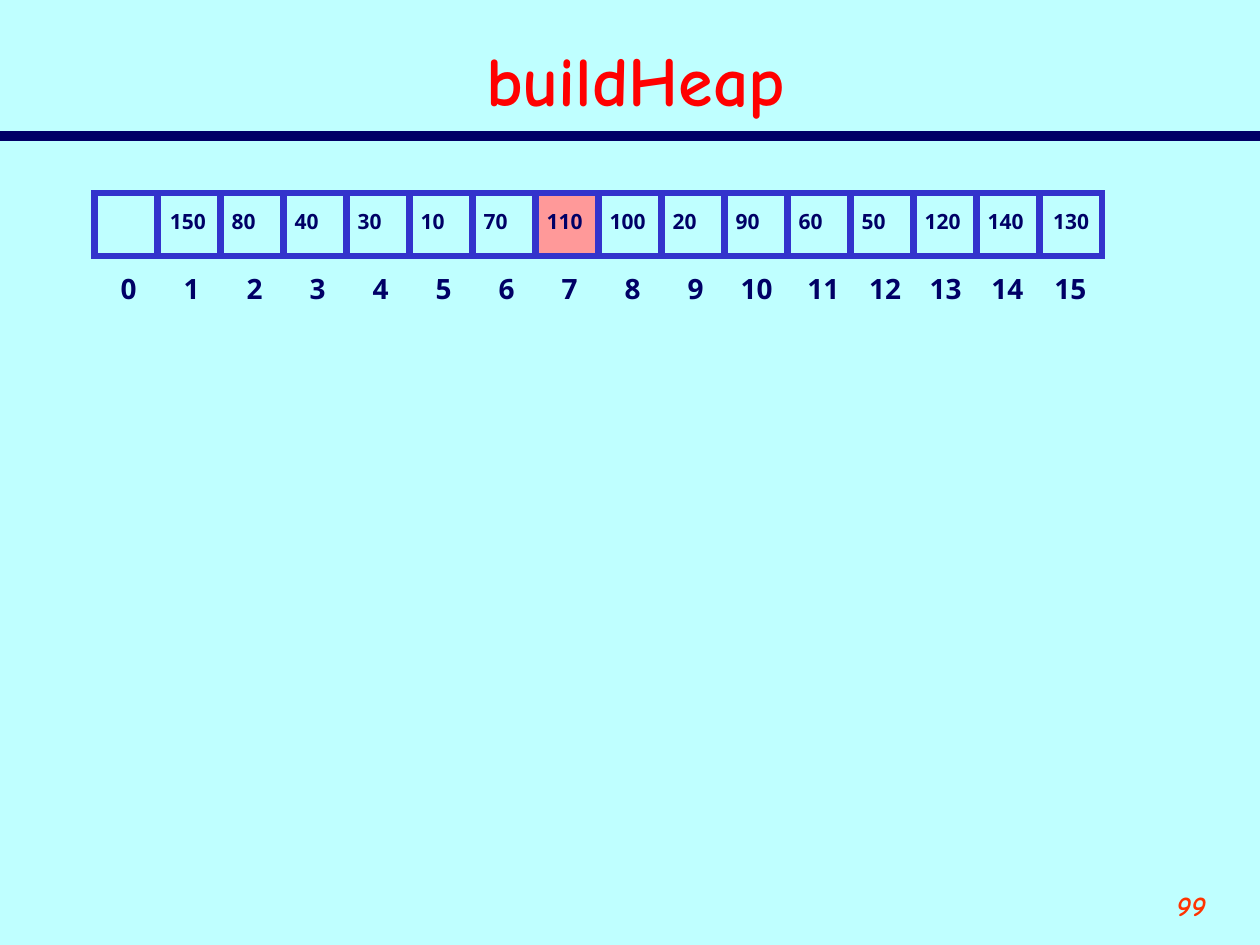
import pptx
import pptx.util
import pptx.dml.color
import pptx.enum.shapes
import pptx.enum.text
import pptx.oxml.ns
import lxml.etree

Inches = pptx.util.Inches
ALIGN = pptx.enum.text.PP_ALIGN

# Content
HEADING = "buildHeap"
PAGE_NUMBER = "99"
HEAP = ["", "150", "80", "40", "30", "10", "70", "110",
        "100", "20", "90", "60", "50", "120", "140", "130"]
CURRENT = 7

COLORS = {
    "background": "BFFFFF", "navy": "000066", "border": "3333CC",
    "current": "FF9999", "heading": "FF0000", "page": "FF3300",
}
HEADING_FONT, ARRAY_FONT = "Comic Neue", "Noto Sans"

# Array geometry in inches
ARRAY_LEFT, ARRAY_TOP, CELL = 0.75, 1.53, 0.5
VALUE_TOP, INDEX_TOP = 1.61, 2.11
VALUE_WIDTHS = {2: 0.4, 3: 0.49}
INDEX_WIDTHS = {1: 0.33, 2: 0.46}
# Text offsets from the left of a cell, where they differ from the usual one
VALUE_OFFSET, VALUE_OFFSETS = -0.01, {1: 0, 15: 0.01}
INDEX_OFFSET, INDEX_OFFSETS = 0.11, {10: 0.03, 11: 0.06, 12: 0.05,
                                     13: 0.03, 14: 0.02, 15: 0.02}


def rgb(name):
    return pptx.dml.color.RGBColor.from_string(COLORS[name])


def write(holder, text, size, color, font=ARRAY_FONT, align=ALIGN.LEFT,
          italic=False, wrap=False, grow=True,
          anchor=pptx.enum.text.MSO_ANCHOR.TOP):
    frame = holder.text_frame
    frame.word_wrap = wrap
    sizing = pptx.enum.text.MSO_AUTO_SIZE
    frame.auto_size = sizing.SHAPE_TO_FIT_TEXT if grow else sizing.NONE
    frame.vertical_anchor = anchor
    paragraph = frame.paragraphs[0]
    paragraph.alignment = align
    run = paragraph.add_run()
    run.text = text
    run.font.name = font
    run.font.size = pptx.util.Pt(size)
    run.font.bold = True
    run.font.italic = italic
    run.font.color.rgb = rgb(color)


deck = pptx.Presentation()
deck.slide_width, deck.slide_height = Inches(10), Inches(7.5)
slide = deck.slides.add_slide(deck.slide_layouts[5])
slide.background.fill.solid()
slide.background.fill.fore_color.rgb = rgb("background")
shapes = slide.shapes

# Heading and rule
heading = shapes.title
heading.left, heading.top = Inches(0.42), Inches(0.25)
heading.width, heading.height = Inches(9.25), Inches(0.75)
write(heading, HEADING, 40, "heading", HEADING_FONT, ALIGN.CENTER,
      wrap=True, grow=False, anchor=pptx.enum.text.MSO_ANCHOR.MIDDLE)

rule = shapes.add_connector(pptx.enum.shapes.MSO_CONNECTOR.STRAIGHT,
                            0, Inches(1.08), Inches(10), Inches(1.08))
rule.line.color.rgb = rgb("navy")
rule.line.width = pptx.util.Pt(6)
lxml.etree.SubElement(rule._element.spPr, pptx.oxml.ns.qn("a:effectLst"))

# Page number
page = shapes.add_textbox(Inches(8.67), Inches(7), Inches(1), Inches(0.5))
write(page, PAGE_NUMBER, 16, "page", HEADING_FONT, ALIGN.RIGHT,
      italic=True, wrap=True, grow=False)

# Array cells with square corners
cell_lefts = [ARRAY_LEFT + CELL * index for index in range(len(HEAP))]
for index, left in enumerate(cell_lefts):
    cell = shapes.add_shape(pptx.enum.shapes.MSO_SHAPE.RECTANGLE,
                            Inches(left), Inches(ARRAY_TOP),
                            Inches(CELL), Inches(CELL))
    cell.shadow.inherit = False
    if index == CURRENT:
        cell.fill.solid()
        cell.fill.fore_color.rgb = rgb("current")
    else:
        cell.fill.background()
    cell.line.color.rgb = rgb("border")
    cell.line.width = pptx.util.Pt(3.5)
    border = cell._element.spPr.find(pptx.oxml.ns.qn("a:ln"))
    lxml.etree.SubElement(border, pptx.oxml.ns.qn("a:miter"), lim="800000")

# Indices below the cells and values inside them
for index, (left, value) in enumerate(zip(cell_lefts, HEAP)):
    number = str(index)
    index_left = left + INDEX_OFFSETS.get(index, INDEX_OFFSET)
    index_label = shapes.add_textbox(
        Inches(index_left), Inches(INDEX_TOP),
        Inches(INDEX_WIDTHS[len(number)]), Inches(0.37))
    write(index_label, number, 16, "navy")
    if value:
        value_left = left + VALUE_OFFSETS.get(index, VALUE_OFFSET)
        value_label = shapes.add_textbox(
            Inches(value_left), Inches(VALUE_TOP),
            Inches(VALUE_WIDTHS[len(value)]), Inches(0.3))
        write(value_label, value, 12, "navy")

deck.save("out.pptx")
